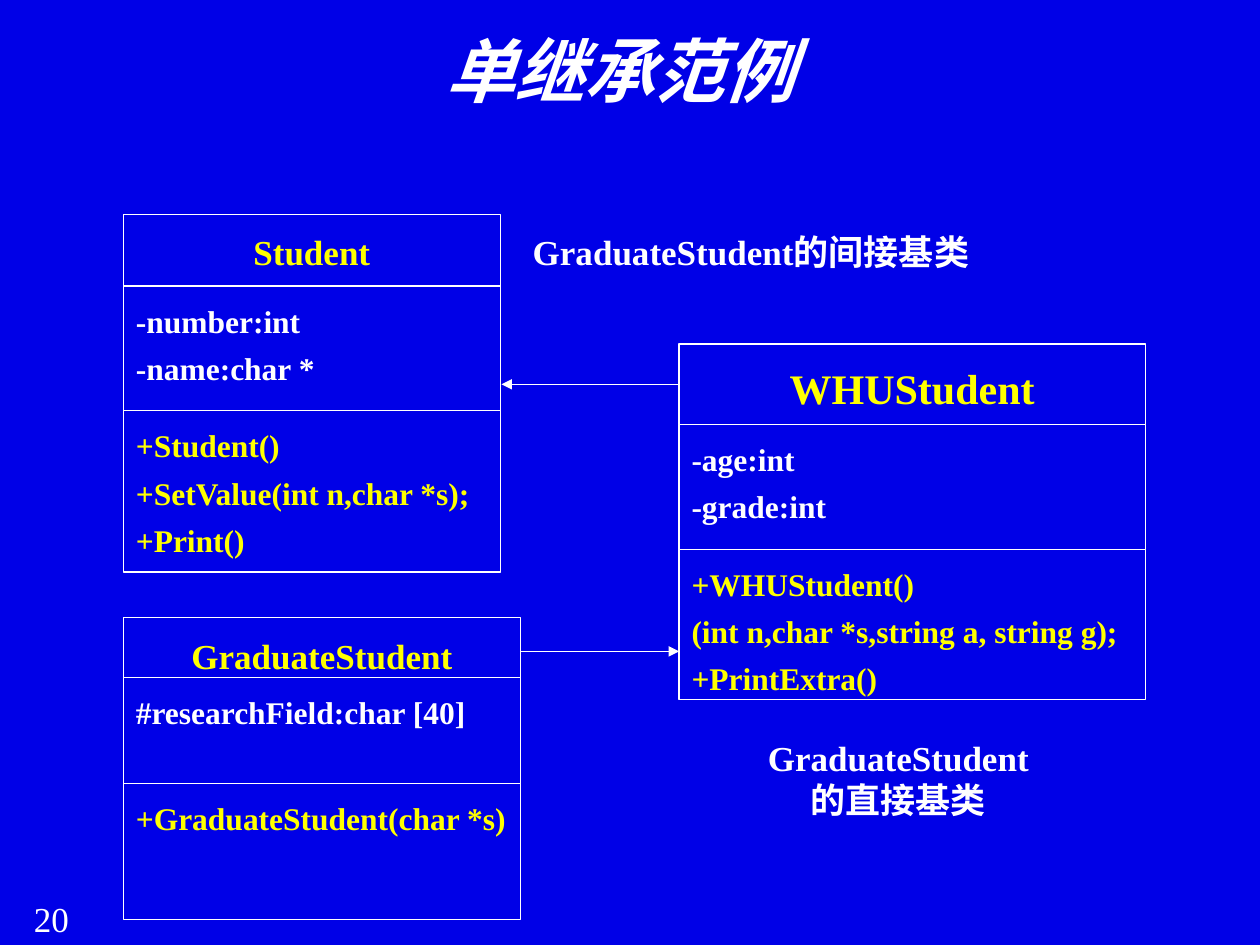
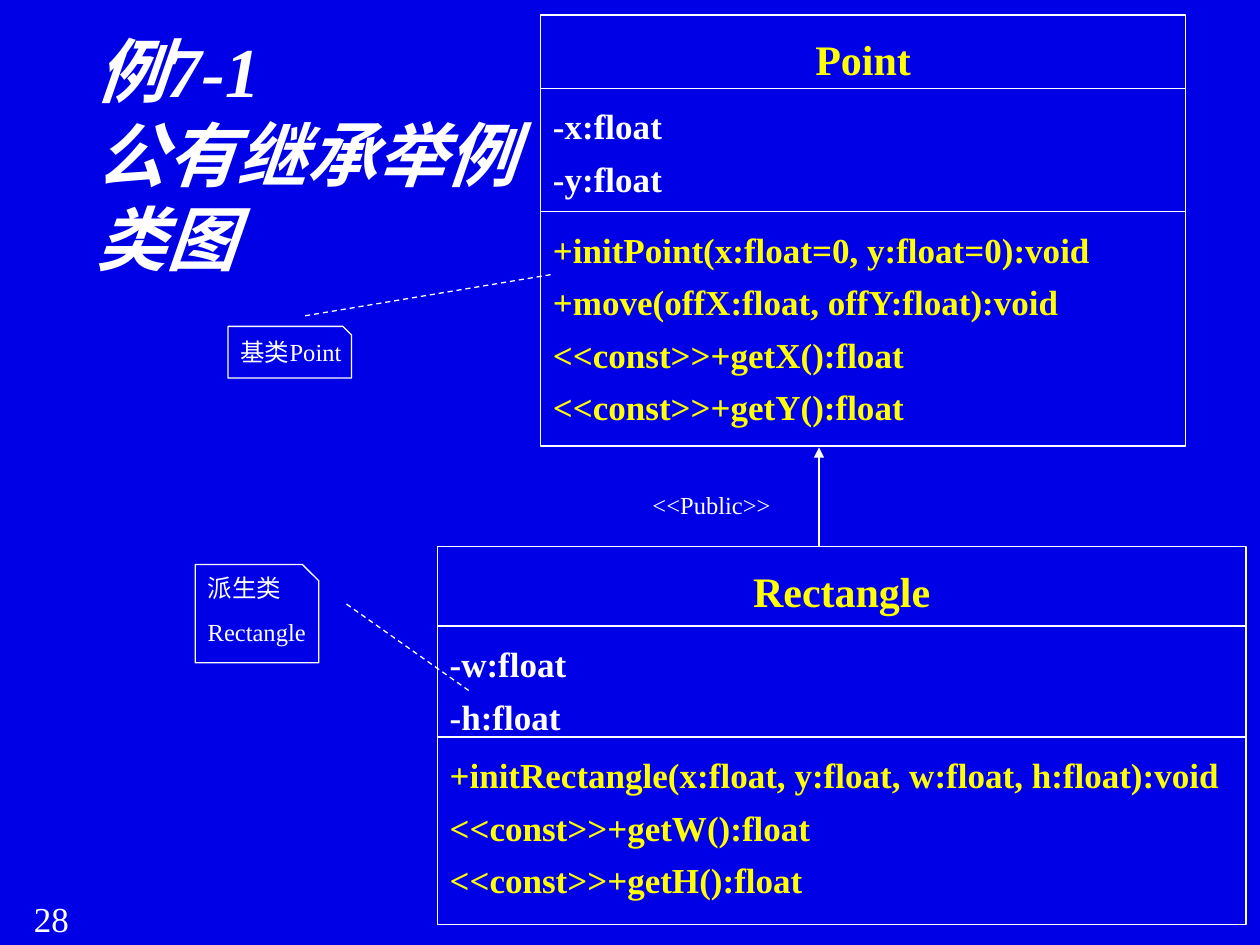
"""Build two slides of class diagrams that explain inheritance."""
import pptx
import pptx.dml.color
import pptx.enum.dml
import pptx.enum.shapes
import pptx.enum.text
import pptx.oxml
import pptx.oxml.ns
import pptx.util
from pptx.util import Inches

COLORS = {"background": "0000E7", "plain": "FFFFFF", "accent": "FFFF00"}
FONT = "Times New Roman"
LINE_WIDTH = 0.75
TITLE_AREA = (0.67, 0.17, 8.5, 1.25)
NUMBER_AREA = (0.17, 7.07, 0.83, 0.43)
SHAPE = pptx.enum.shapes.MSO_SHAPE
LEFT = pptx.enum.text.PP_ALIGN.LEFT
CENTER = pptx.enum.text.PP_ALIGN.CENTER
TOP = pptx.enum.text.MSO_ANCHOR.TOP
MIDDLE = pptx.enum.text.MSO_ANCHOR.MIDDLE

SLIDES = [
    {
        "number": "20",
        "title": ["单继承范例"],
        "title_align": CENTER,
        "classes": [
            {"name": "Student", "at": (0.98, 1.7), "width": 2.99,
             "heights": (0.57, 0.99, 1.28), "sizes": (20, 18),
             "fields": ["-number:int", "-name:char *"],
             "methods": ["+Student()", "+SetValue(int n,char *s);", "+Print()"]},
            {"name": "WHUStudent", "at": (5.39, 2.73), "width": 3.7,
             "heights": (0.64, 0.99, 1.19), "sizes": (24, 18),
             "fields": ["-age:int", "-grade:int"],
             "methods": ["+WHUStudent()", "(int n,char *s,string a, string g);",
                         "+PrintExtra()"]},
            {"name": "GraduateStudent", "at": (0.98, 4.9), "width": 3.15,
             "heights": (0.48, 0.84, 1.08), "sizes": (20, 18),
             "fields": ["#researchField:char [40]"],
             "methods": ["+GraduateStudent(char *s)"]},
        ],
        "arrows": [
            {"start": (5.39, 3.05), "end": (3.98, 3.05), "join": ("WHUStudent", 1)},
            {"start": (4.13, 5.17), "end": (5.39, 5.17)},
        ],
        "captions": [
            {"text": "GraduateStudent的直接基类", "area": (5.87, 5.8, 2.52, 0.77),
             "align": CENTER},
            {"text": "GraduateStudent的间接基类", "area": (4.13, 1.78, 4.96, 0.43),
             "align": LEFT},
        ],
        "labels": [],
        "note_outlines": [],
        "note_links": [],
    },
    {
        "number": "28",
        "title": ["例7-1", "公有继承举例", "类图"],
        "title_align": LEFT,
        "classes": [
            {"name": "Point", "at": (4.29, 0.12), "width": 5.12,
             "heights": (0.58, 0.98, 1.86), "sizes": (24, 20),
             "fields": ["-x:float", "-y:float"],
             "methods": ["+initPoint(x:float=0, y:float=0):void",
                         "+move(offX:float, offY:float):void",
                         "<<const>>+getX():float", "<<const>>+getY():float"]},
            {"name": "Rectangle", "at": (3.47, 4.34), "width": 6.42,
             "heights": (0.63, 0.88, 1.49), "sizes": (24, 20),
             "fields": ["-w:float", "-h:float"],
             "methods": ["+initRectangle(x:float, y:float, w:float, h:float):void",
                         "<<const>>+getW():float", "<<const>>+getH():float"]},
        ],
        "arrows": [{"start": (6.5, 4.34), "end": (6.5, 3.55)}],
        "captions": [],
        "labels": [
            ("<<Public>>", (5.08, 3.72, 1.18, 0.45)),
            ("基类Point", (1.81, 2.51, 1.18, 0.45)),
            ("派生类Rectangle", (1.55, 4, 1.18, 1.56)),
        ],
        "note_outlines": [(1.81, 2.59, 0.98, 0.41), (1.55, 4.48, 0.98, 0.78)],
        "note_links": [((4.37, 2.18), (2.4, 2.51)), ((3.72, 5.48), (2.73, 4.78))],
    },
]


def color(name):
    return pptx.dml.color.RGBColor.from_string(COLORS[name])


def style_line(line):
    line.color.rgb = color("plain")
    line.width = pptx.util.Pt(LINE_WIDTH)


def write(shape, lines, size, tint="plain", align=LEFT, anchor=TOP,
          spacing=None, bold=False, italic=False, soft_breaks=False):
    frame = shape.text_frame
    frame.word_wrap = True
    frame.vertical_anchor = anchor
    para = frame.paragraphs[0]
    for index, text in enumerate(lines):
        if index and soft_breaks:
            para.add_line_break()
        elif index:
            para = frame.add_paragraph()
        para.alignment = align
        if spacing:
            para.line_spacing = spacing
        span = para.add_run()
        span.text = text
        font = span.font
        font.name, font.size = FONT, pptx.util.Pt(size)
        font.bold, font.italic = bold, italic
        font.color.rgb = color(tint)


def add_text(page, area, lines, size, **style):
    box = page.shapes.add_textbox(*map(Inches, area))
    write(box, lines, size, **style)


def add_outline(page, kind, area):
    box = page.shapes.add_shape(kind, *map(Inches, area))
    box.shadow.inherit = False
    box.fill.background()
    style_line(box.line)
    return box


def add_class(page, entry):
    """Stack name, fields and methods; return the name box."""
    left, top = entry["at"]
    name_size, member_size = entry["sizes"]
    rows = [
        ([entry["name"]], name_size, "accent", CENTER),
        (entry["fields"], member_size, "plain", LEFT),
        (entry["methods"], member_size, "accent", LEFT),
    ]
    boxes = []
    for height, (lines, size, tint, align) in zip(entry["heights"], rows):
        box = add_outline(page, SHAPE.RECTANGLE, (left, top, entry["width"], height))
        write(box, lines, size, tint=tint, align=align, spacing=1.25, bold=True)
        boxes.append(box)
        top += height
    return boxes[0]


def add_line(page, start, end):
    connector = page.shapes.add_connector(
        pptx.enum.shapes.MSO_CONNECTOR.STRAIGHT, *map(Inches, start + end))
    style_line(connector.line)
    pptx.oxml.ns.qn("a:effectLst")
    properties = connector._element.spPr
    properties.append(pptx.oxml.parse_xml(
        f"<a:effectLst {pptx.oxml.ns.nsdecls('a')}/>"))
    return connector


def add_arrow(page, arrow, name_boxes):
    connector = add_line(page, arrow["start"], arrow["end"])
    connector.line._get_or_add_ln().append(pptx.oxml.parse_xml(
        f"<a:tailEnd {pptx.oxml.ns.nsdecls('a')} type='triangle'/>"))
    if "join" in arrow:
        name, side = arrow["join"]
        connector.begin_connect(name_boxes[name], side)
        connector.end_y = connector.begin_y


def add_page(deck, content):
    page = deck.slides.add_slide(deck.slide_layouts[6])
    add_text(page, NUMBER_AREA, [content["number"]], 20)
    add_text(page, TITLE_AREA, content["title"], 40, align=content["title_align"],
             bold=True, italic=True, soft_breaks=True)
    name_boxes = {entry["name"]: add_class(page, entry)
                  for entry in content["classes"]}
    for arrow in content["arrows"]:
        add_arrow(page, arrow, name_boxes)
    for caption in content["captions"]:
        add_text(page, caption["area"], [caption["text"]], 20,
                 align=caption["align"], bold=True)
    for area in content["note_outlines"]:
        add_outline(page, SHAPE.SNIP_1_RECTANGLE, area)
    for text, area in content["labels"]:
        add_text(page, area, [text], 14, anchor=MIDDLE, spacing=1.5)
    for start, end in content["note_links"]:
        link = add_line(page, start, end)
        link.line.dash_style = pptx.enum.dml.MSO_LINE.DASH


def main():
    deck = pptx.Presentation()
    deck.slide_width, deck.slide_height = Inches(10), Inches(7.5)
    backdrop = deck.slide_master.background.fill
    backdrop.solid()
    backdrop.fore_color.rgb = color("background")
    for content in SLIDES:
        add_page(deck, content)
    deck.save("out.pptx")


if __name__ == "__main__":
    main()
